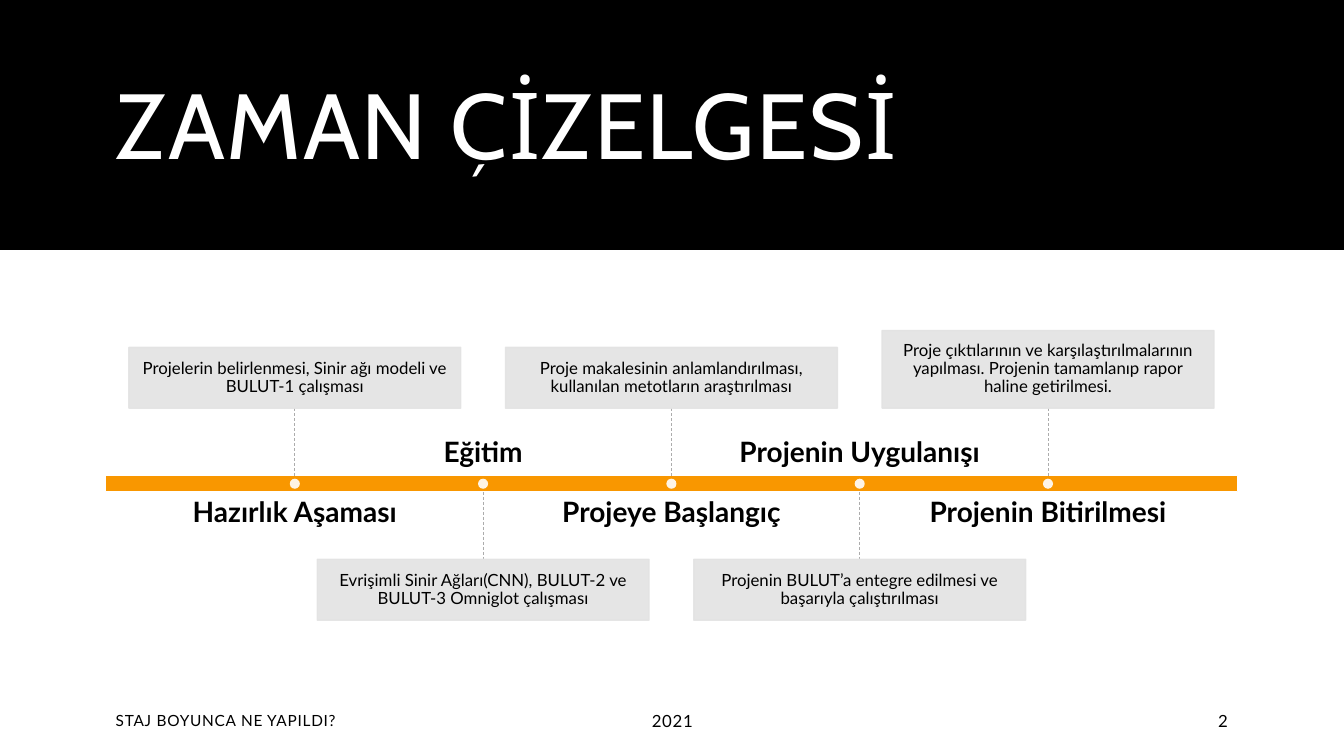
from lxml import etree
from pptx import Presentation
from pptx.dml.color import RGBColor
from pptx.enum import dml, shapes, text
from pptx.oxml import ns
from pptx.util import Pt

TITLE = "ZAMAN ÇİZELGESİ"
STEPS = [
    ("Hazırlık Aşaması", "Projelerin belirlenmesi, Sinir ağı modeli ve BULUT-1 çalışması", 43.5),
    ("Eğitim", "Evrişimli Sinir Ağları(CNN), BULUT-2 ve BULUT-3 Omniglot çalışması", 43.5),
    ("Projeye Başlangıç", "Proje makalesinin anlamlandırılması, kullanılan metotların araştırılması", 43.5),
    ("Projenin Uygulanışı", "Projenin BULUT’a entegre edilmesi ve başarıyla çalıştırılması", 43.5),
    ("Projenin Bitirilmesi", "Proje çıktılarının ve karşılaştırılmalarının yapılması. "
     "Projenin tamamlanıp rapor haline getirilmesi.", 55.5),
]
LEFT, MID, RIGHT = text.PP_ALIGN.LEFT, text.PP_ALIGN.CENTER, text.PP_ALIGN.RIGHT
FOOTER = [
    ("STAJ BOYUNCA NE YAPILDI?", 75.6, 255, 11, LEFT, 50),
    ("2021", 352.8, 255, 12, MID, 50),
    ("2", 810.7, 73.5, 12, RIGHT, 0),
]
HEX = {"ink": "000000", "paper": "FFFFFF", "bar": "F99700", "box": "E3E3E3", "stem": "ACACAC"}
TOP, BASE, CENTER = text.MSO_ANCHOR.TOP, text.MSO_ANCHOR.BOTTOM, text.MSO_ANCHOR.MIDDLE
RECT, OVAL = shapes.MSO_SHAPE.RECTANGLE, shapes.MSO_SHAPE.OVAL
WIDE, TALL = 960, 540
EDGE, SPAN = 75.6, 808.6
FIRST, STEP = 210.6, 134.5
BAR, THICK = 339.8, 11.5
STEM, BOX, LABEL, DOT = 48.2, 237, 215.3, 7.2


def color(name):
    return RGBColor.from_string(HEX[name])


def fade(shape):
    for tone in shape._element.spPr.iter(ns.qn("a:srgbClr")):
        etree.SubElement(tone, ns.qn("a:alpha"), val="90000")


def draw(kind, x, y, w, h, fill, line=None):
    shape = slide.shapes.add_shape(kind, Pt(x), Pt(y), Pt(w), Pt(h))
    shape.shadow.inherit = False
    shape.fill.solid()
    shape.fill.fore_color.rgb = color(fill)
    if line:
        shape.line.color.rgb = color(line)
        shape.line.width = Pt(1)
    else:
        shape.line.fill.background()
    return shape


def write(shape, words, size, align, anchor, pad=(7.2, 3.6), face="Lato",
          tint="ink", bold=False, track=0, lead=1.0):
    frame = shape.text_frame
    frame.word_wrap = True
    frame.vertical_anchor = anchor
    frame.margin_left = frame.margin_right = Pt(pad[0])
    frame.margin_top = frame.margin_bottom = Pt(pad[1])
    para = frame.paragraphs[0]
    para.alignment = align
    para.line_spacing = lead
    run = para.add_run()
    run.text = words
    run.font.name = face
    run.font.size = Pt(size)
    run.font.bold = bold
    run.font.color.rgb = color(tint)
    if track:
        run._r.get_or_add_rPr().set("spc", str(track))


def area(x, y, w, h):
    return slide.shapes.add_textbox(Pt(x), Pt(y), Pt(w), Pt(h))


def stem(x, y):
    line = slide.shapes.add_connector(
        shapes.MSO_CONNECTOR.STRAIGHT, Pt(x), Pt(y), Pt(x), Pt(y + STEM))
    line.line.color.rgb = color("stem")
    line.line.width = Pt(0.5)
    line.line.dash_style = dml.MSO_LINE.DASH
    etree.SubElement(line._element.spPr, ns.qn("a:effectLst"))


deck = Presentation()
deck.slide_width, deck.slide_height = Pt(WIDE), Pt(TALL)
slide = deck.slides.add_slide(deck.slide_layouts[6])

draw(RECT, 0, 0, WIDE, 178.5, "ink")
write(area(EDGE, 25.2, SPAN, 134), TITLE, 66, LEFT, CENTER,
      face="Cabin", tint="paper", track=120, lead=0.9)
draw(RECT, EDGE, BAR, SPAN, THICK, "bar", "paper")

for i, (name, note, high) in enumerate(STEPS):
    mid = FIRST + i * STEP
    above = i % 2 == 0
    start = BAR - STEM if above else BAR + THICK
    stem(mid, start)
    box = draw(RECT, mid - BOX / 2, start - high if above else start + STEM,
               BOX, high, "box", "box")
    fade(box)
    write(box, note, 12, MID, CENTER, pad=(8.5, 8.5), lead=0.9)
    label = area(mid - LABEL / 2, 355.7 if above else 303.1, LABEL, 31.7)
    write(label, name, 20, MID, TOP if above else BASE, pad=(0, 0), bold=True, lead=0.9)
    fade(draw(OVAL, mid - DOT / 2, BAR + (THICK - DOT) / 2, DOT, DOT, "paper"))

for words, x, w, size, align, track in FOOTER:
    write(area(x, 500.4, w, 28.8), words, size, align, CENTER, track=track)

deck.save("out.pptx")
